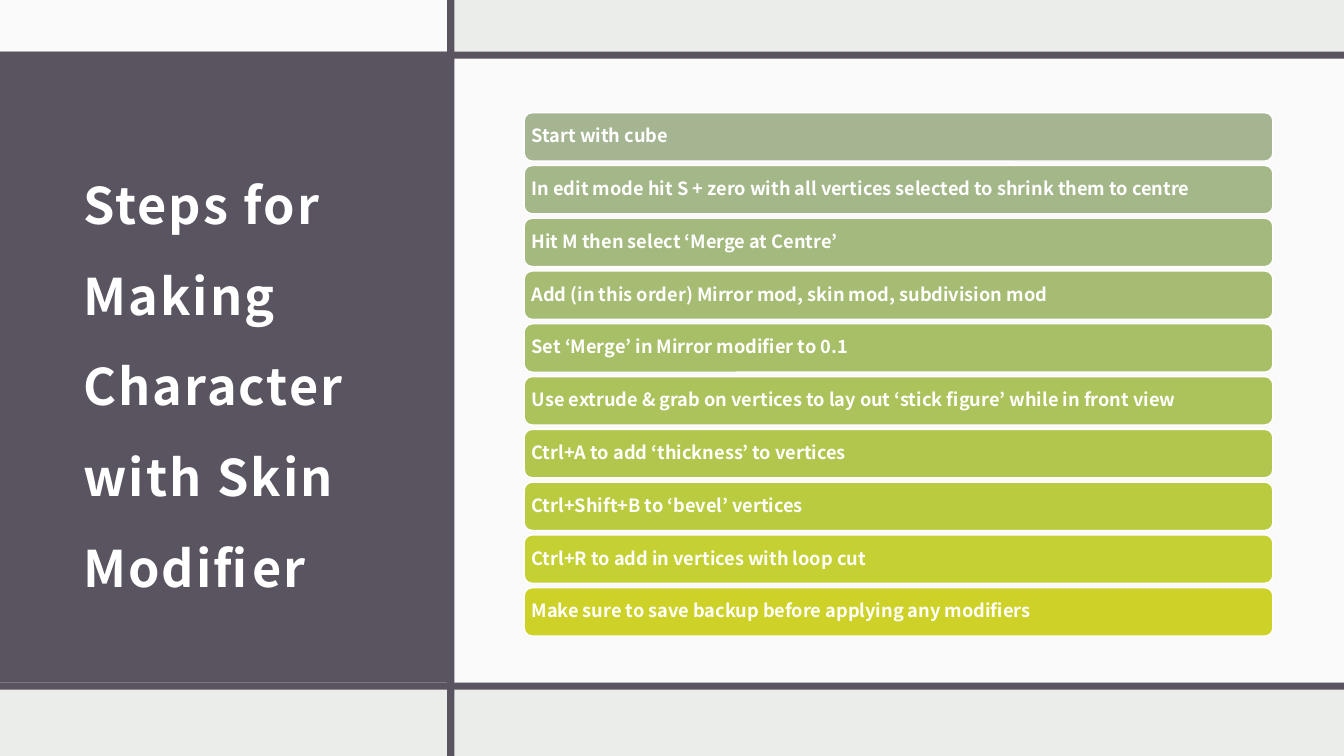
from lxml.etree import SubElement
from pptx import Presentation
from pptx.dml.color import RGBColor
from pptx.enum.shapes import MSO_SHAPE
from pptx.enum.text import MSO_ANCHOR, MSO_AUTO_SIZE, PP_ALIGN
from pptx.oxml.ns import qn
from pptx.util import Cm, Pt

FONT = "Noto Sans CJK JP"
COLOURS = {"background": "EBEDEB", "frame": "595460", "white": "FFFFFF"}

SLIDE_WIDTH, SLIDE_HEIGHT = 33.87, 19.05
RULE = 0.18
TOP_RULE, BOTTOM_RULE, VERTICAL_RULE = 1.3, 17.2, 11.27

BAR_LEFT, BAR_TOP, BAR_WIDTH, BAR_HEIGHT, BAR_PITCH = 13.21, 2.84, 18.87, 1.22, 1.33

TITLE = "Steps for Making Character with Skin Modifier"
STEPS = [
    ("Start with cube", "A5B592"),
    ("In edit mode hit S + zero with all vertices selected to shrink them to centre", "A4B788"),
    ("Hit M then select ‘Merge at Centre’", "A3B97D"),
    ("Add (in this order) Mirror mod, skin mod, subdivision mod", "A5BC72"),
    ("Set ‘Merge’ in Mirror modifier to 0.1", "A7BF66"),
    ("Use extrude & grab on vertices to lay out ‘stick figure’ while in front view", "ACC25A"),
    ("Ctrl+A to add ‘thickness’ to vertices", "B2C64D"),
    ("Ctrl+Shift+B to ‘bevel’ vertices", "BACB40"),
    ("Ctrl+R to add in vertices with loop cut", "C5D033"),
    ("Make sure to save backup before applying any modifiers", "CED228"),
]


def colour(name):
    return RGBColor.from_string(COLOURS[name])


def add_panel(slide, left, top, width, height, fill, opacity=100):
    """Add a plain rectangle without an outline."""
    shape = slide.shapes.add_shape(
        MSO_SHAPE.RECTANGLE, Cm(left), Cm(top), Cm(width), Cm(height))
    shape.shadow.inherit = False
    shape.fill.solid()
    shape.fill.fore_color.rgb = colour(fill)
    shape.line.fill.background()
    if opacity < 100:
        fill_colour = shape.element.spPr.find(qn("a:solidFill"))[0]
        SubElement(fill_colour, qn("a:alpha")).set("val", str(opacity * 1000))


def format_text(text_frame, text, size, line_spacing, insets):
    """Write one left-aligned paragraph; insets are left, top, right, bottom."""
    text_frame.text = text
    text_frame.word_wrap = True
    text_frame.auto_size = MSO_AUTO_SIZE.NONE
    text_frame.vertical_anchor = MSO_ANCHOR.MIDDLE
    (text_frame.margin_left, text_frame.margin_top,
     text_frame.margin_right, text_frame.margin_bottom) = map(Cm, insets)
    paragraph = text_frame.paragraphs[0]
    paragraph.alignment = PP_ALIGN.LEFT
    paragraph.line_spacing = line_spacing
    run = paragraph.runs[0]
    run.font.name = FONT
    run.font.size = Pt(size)
    run.font.bold = True
    run.font.color.rgb = colour("white")
    return paragraph


def add_title(slide):
    title = slide.shapes.title
    title.left, title.top, title.width, title.height = map(Cm, (1.8, 3.33, 8.66, 11.96))
    paragraph = format_text(title.text_frame, TITLE, 36, 1.5, (0.3, 0.3, 0.3, 0.25))
    paragraph.runs[0].font._element.set("spc", "150")
    # Bring the title in front of the panels
    title.element.getparent().append(title.element)


def add_step(slide, index, text, fill):
    shape = slide.shapes.add_shape(
        MSO_SHAPE.ROUNDED_RECTANGLE, Cm(BAR_LEFT), Cm(BAR_TOP + index * BAR_PITCH),
        Cm(BAR_WIDTH), Cm(BAR_HEIGHT))
    shape.shadow.inherit = False
    shape.fill.solid()
    shape.fill.fore_color.rgb = RGBColor.from_string(fill)
    shape.line.color.rgb = colour("white")
    shape.line.width = Pt(1)
    paragraph = format_text(shape.text_frame, text, 13, 0.9, (0.13, 0.13, 0.13, 0.13))
    paragraph.space_after = Pt(4.5)


def main():
    presentation = Presentation()
    presentation.slide_width = Cm(SLIDE_WIDTH)
    presentation.slide_height = Cm(SLIDE_HEIGHT)
    slide = presentation.slides.add_slide(presentation.slide_layouts[5])
    slide.background.fill.solid()
    slide.background.fill.fore_color.rgb = colour("background")

    # Panels
    right_edge = VERTICAL_RULE + RULE
    content_top = TOP_RULE + RULE
    add_panel(slide, 0, TOP_RULE, VERTICAL_RULE, BOTTOM_RULE - TOP_RULE, "frame")
    add_panel(slide, 0, 0, VERTICAL_RULE, TOP_RULE, "white", 75)
    add_panel(slide, right_edge, content_top, SLIDE_WIDTH - right_edge,
              BOTTOM_RULE - content_top, "white", 75)

    # Rules
    for top in (TOP_RULE, BOTTOM_RULE):
        add_panel(slide, 0, top, SLIDE_WIDTH, RULE, "frame")
    add_panel(slide, VERTICAL_RULE, 0, RULE, SLIDE_HEIGHT, "frame")

    # Title and steps
    add_title(slide)
    for index, (text, fill) in enumerate(STEPS):
        add_step(slide, index, text, fill)

    presentation.save("out.pptx")


if __name__ == "__main__":
    main()
